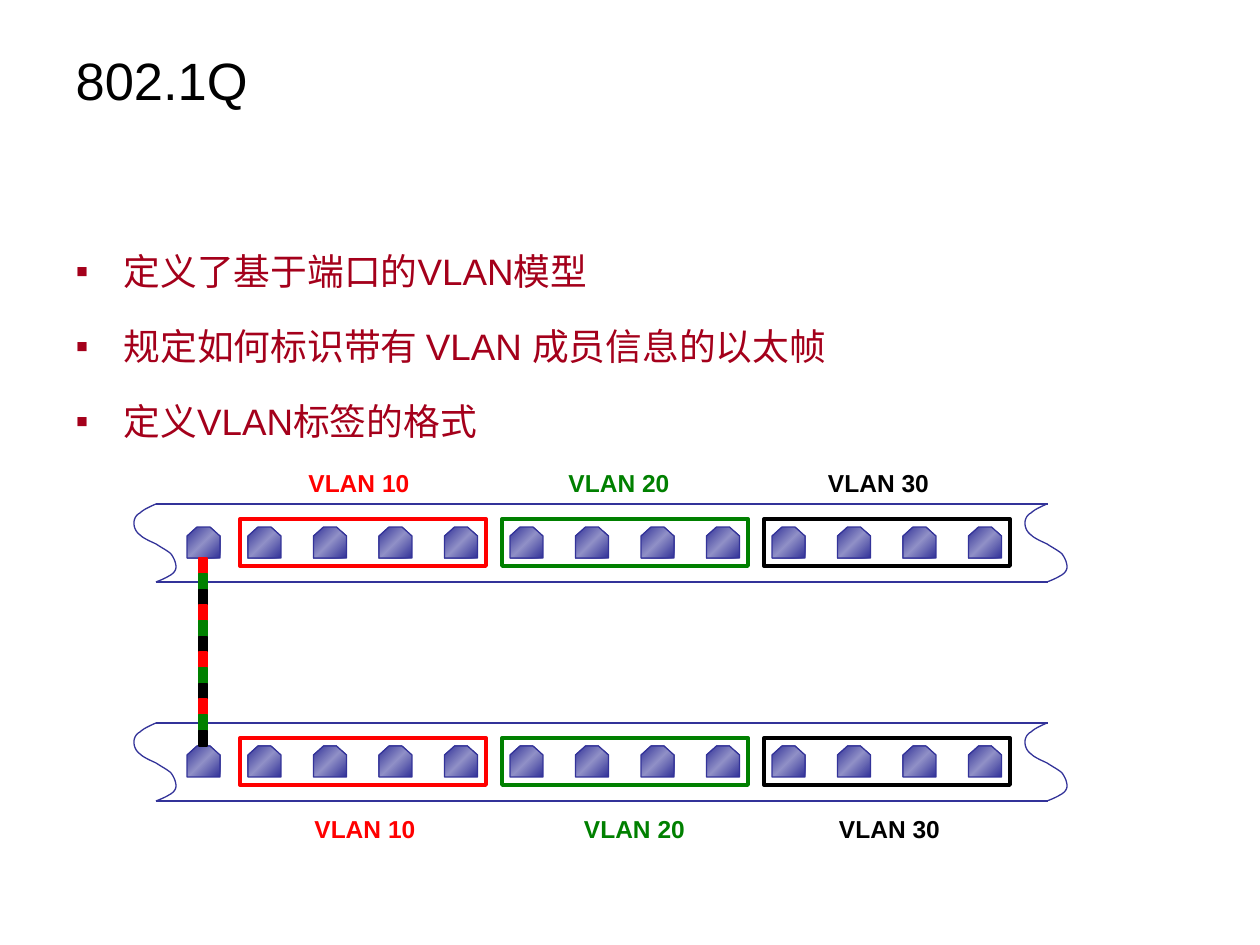
from copy import deepcopy
from lxml.etree import SubElement
from pptx import Presentation
from pptx.dml.color import RGBColor
from pptx.enum.shapes import MSO_CONNECTOR, MSO_SHAPE
from pptx.enum.text import MSO_ANCHOR, MSO_AUTO_SIZE, PP_ALIGN
from pptx.oxml.ns import qn
from pptx.util import Pt

SCALE = 914400 / 126
RED = RGBColor(0xFF, 0, 0)
GREEN = RGBColor(0, 0x80, 0)
BLACK = RGBColor(0, 0, 0)
WINE = RGBColor(0xA4, 0, 0x1B)
NAVY = RGBColor(0x33, 0x33, 0x99)
LILAC = RGBColor(0x90, 0x90, 0xC7)

# Content
TITLE = "802.1Q"
POINTS = ["定义了基于端口的VLAN模型", "规定如何标识带有 VLAN 成员信息的以太帧", "定义VLAN标签的格式"]
VLANS = [("VLAN 10", RED), ("VLAN 20", GREEN), ("VLAN 30", BLACK)]

# Each switch: its top, the top of its labels, and (left, width) per label
ROWS = [
    (504, 462, [(286, 146), (548, 142), (810, 137)]),
    (723, 808, [(292, 146), (554, 161), (816, 147)]),
]
PORT = [(10, 0), (0, 9), (0, 31), (33, 31), (33, 9), (23, 0)]
WAVE = [(22, 0), (20, 1), (10, 5), (6, 9), (2, 11), (0, 15), (0, 19),
        (0, 24), (2, 28), (6, 31), (10, 35), (18, 38), (22, 40),
        (28, 44), (34, 47), (37, 50), (40, 54), (42, 59), (42, 63),
        (42, 67), (39, 70), (35, 72), (32, 74), (25, 77), (22, 78)]
PORTS = 4
STRIPES = 12


def px(num):
    return round(num * SCALE)


def place(shape, left, top, width, height):
    shape.left, shape.top = px(left), px(top)
    shape.width, shape.height = px(width), px(height)


def write(shape, lines, size, color, bold=False, align=PP_ALIGN.LEFT,
          anchor=MSO_ANCHOR.TOP, bullet=None, gap=0, space=1):
    frame = shape.text_frame
    frame.word_wrap = True
    frame.auto_size = MSO_AUTO_SIZE.NONE
    frame.vertical_anchor = anchor
    for i, line in enumerate(lines):
        para = frame.add_paragraph() if i else frame.paragraphs[0]
        if bullet:
            props = para._p.get_or_add_pPr()
            props.set("marL", str(px(48)))
            props.set("indent", str(-px(48)))
            tint = SubElement(props, qn("a:buClr"))
            SubElement(tint, qn("a:srgbClr"), val=str(color))
            SubElement(props, qn("a:buFont"), typeface="Arial")
            SubElement(props, qn("a:buChar"), char=bullet)
        para.alignment = align
        para.line_spacing = space
        para.space_before = Pt(gap if i else 0)
        run = para.add_run()
        run.text = line
        font = run.font
        font.name, font.size, font.bold = "Arial", Pt(size), bold
        font.color.rgb = color


def edge(shape, color, width=0.75):
    shape.line.color.rgb = color
    shape.line.width = Pt(width)


def draw(shapes, dots, left, top, close):
    """Draw an outline through dots, offset by left and top."""
    spots = [(px(left + x), px(top + y)) for x, y in dots]
    pen = shapes.build_freeform(*spots[0])
    pen.add_line_segments(spots[1:], close=close)
    shape = pen.convert_to_shape()
    shape.shadow.inherit = False
    edge(shape, NAVY)
    return shape


def box(left, top, width, height, color, line, solid):
    shape = slide.shapes.add_shape(
        MSO_SHAPE.RECTANGLE, px(left), px(top), px(width), px(height))
    shape.shadow.inherit = False
    if solid:
        shape.fill.solid()
        shape.fill.fore_color.rgb = color
    else:
        shape.fill.background()
    edge(shape, color, line)


def port(left, top):
    fill = draw(slide.shapes, PORT, left, top, True).fill
    fill.gradient()
    fill.gradient_angle = 135
    first, last = fill.gradient_stops
    first.color.rgb = last.color.rgb = NAVY
    first.position, last.position = 0, 1
    first._gs.addnext(deepcopy(first._gs))
    mid = fill.gradient_stops[1]
    mid.color.rgb, mid.position = LILAC, 0.5


def smooth(dots, steps=8):
    """Turn a chain of cubic curves into short straight steps."""
    path = [dots[0]]
    for i in range(0, len(dots) - 1, 3):
        for step in range(1, steps + 1):
            t = step / steps
            parts = ((1 - t) ** 3, 3 * t * (1 - t) ** 2, 3 * t * t * (1 - t), t ** 3)
            path.append(tuple(sum(w * dot[axis] for w, dot in zip(parts, dots[i:i + 4]))
                              for axis in (0, 1)))
    return path


def band(top):
    group = slide.shapes.add_group_shape()
    for left in (134, 1025):
        draw(group.shapes, smooth(WAVE), left, top, False).fill.background()
    for y in (top, top + 78):
        line = group.shapes.add_connector(
            MSO_CONNECTOR.STRAIGHT, px(156), px(y), px(1048), px(y))
        edge(line, NAVY)
        SubElement(line._element.spPr, qn("a:effectLst"))


deck = Presentation()
deck.slide_width, deck.slide_height = px(1260), px(945)
slide = deck.slides.add_slide(deck.slide_layouts[1])

# Title and list
title, body = slide.placeholders
place(title, 63, 26, 1033, 107)
write(title, [TITLE], 30, BLACK, anchor=MSO_ANCHOR.MIDDLE)
place(body, 63, 220, 1143, 610)
write(body, POINTS, 21, WINE, bullet="▪", gap=5.2, space=1.5)

# Switches with their ports, VLAN frames and labels
for top, high, spans in ROWS:
    band(top)
    port(187, top + 23)
    for i, ((name, color), (left, width)) in enumerate(zip(VLANS, spans)):
        for j in range(PORTS):
            port(248 + 65.5 * (PORTS * i + j), top + 23)
        box(240 + 262 * i, top + 15, 246, 47, color, 2.25, False)
        label = slide.shapes.add_textbox(px(left), px(high), px(width), px(43))
        write(label, [name], 14, color, bold=True, align=PP_ALIGN.CENTER)

# Trunk cable in the three VLAN colours
start, end = (row[0] for row in ROWS)
start, end = start + 54, end + 23
pitch = (end - start) / STRIPES
for i in range(STRIPES):
    color = VLANS[i % len(VLANS)][1]
    box(199, start + i * pitch, 8, pitch, color, 0.75, True)

deck.save("out.pptx")
